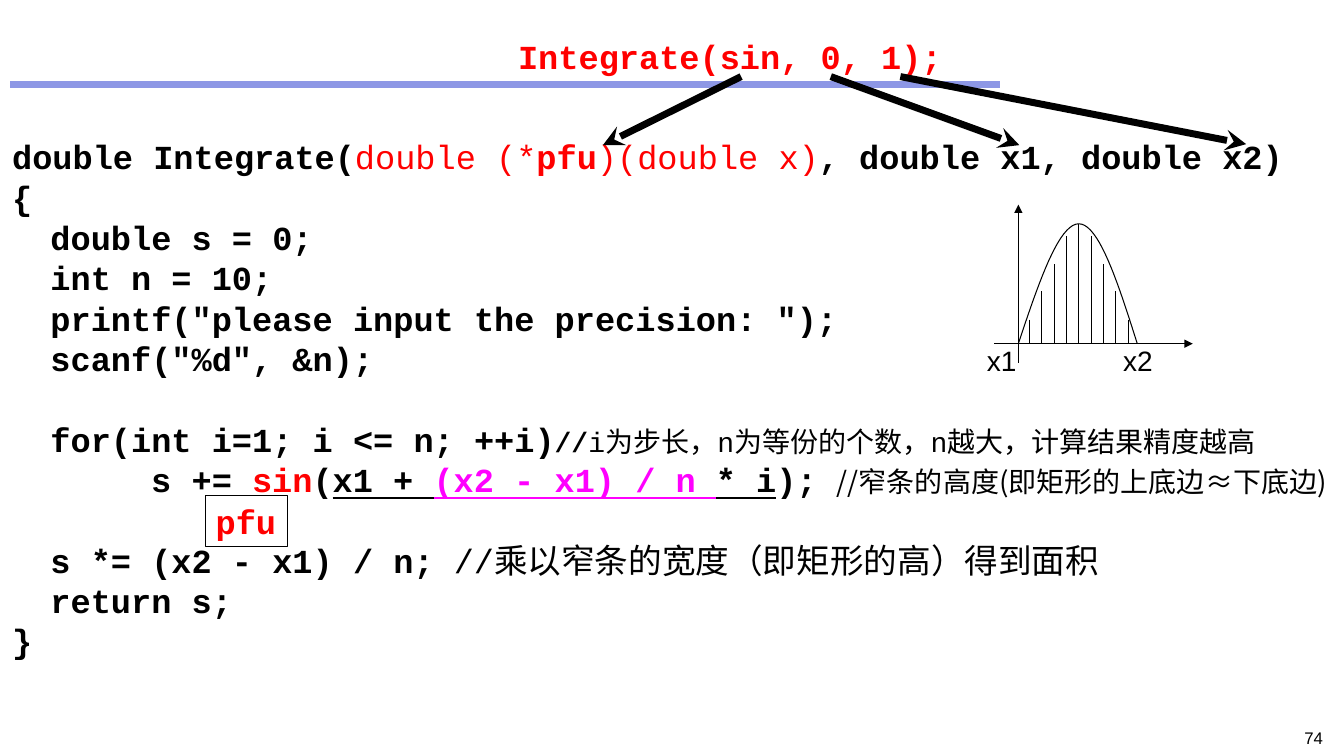
import pptx
import pptx.util
import pptx.dml.color
import pptx.enum.shapes
import pptx.enum.text
import pptx.oxml.ns
from pptx.util import Inches

COLORS = {"black": "000000", "red": "FF0000", "magenta": "FF00FF", "rule": "8D97E5"}
CODE_FONT, CJK_FONT, LABEL_FONT = "Courier New", "Noto Sans CJK SC", "Arial"

# Content: each code line is a list of (text, style differences) runs
PLAIN_RED = {"color": "red", "bold": False}
UNDERLINED = {"underline": True}
CODE_LINES = [
    [],
    [("double Integrate(", {}), ("double (*", PLAIN_RED), ("pfu", {"color": "red"}),
     (")(double x)", PLAIN_RED), (", double x1, double x2)", {})],
    [("{", {})],
    [("\tdouble s = 0;", {})],
    [("\tint n = 10;\t\t", {})],
    [("\tprintf(\"please input the precision: \");", {})],
    [("\tscanf(\"%d\", &n);", {})],
    [],
    [("\tfor(int i=1; i <= n; ++i)", {}), ("//", {"size": 20}),
     ("i为步长，n为等份的个数，n越大，计算结果精度越高", {"size": 20, "bold": False})],
    [("\t\ts += ", {}), ("sin", {"color": "red"}), ("(", {}), ("x1 + ", UNDERLINED),
     ("(x2 - x1) / n ", {"color": "magenta", "underline": True}), ("* i", UNDERLINED),
     ("); ", {}),
     ("//窄条的高度(即矩形的上底边≈下底边)", {"size": 20, "bold": False, "font": CJK_FONT})],
    [("\t\t", {})],
    [("\ts *= (x2 - x1) / n; ", {}), ("//乘以窄条的宽度（即矩形的高）得到面积", {"bold": False})],
    [("\treturn s;", {})],
    [("}", {})],
]
# Call arguments pointing at the parameters they fill
ARGUMENT_ARROWS = [((7.35, 0.76), (5.98, 1.44)), ((8.24, 0.76), (10.11, 1.44)),
                   ((8.93, 0.76), (12.36, 1.43))]
# Graph: strips rise to the middle and fall again
AXIS_Y, FIRST_STRIP_X, STRIP_STEP = 3.41, 10.21, 0.1225
RISING_TOPS = [3.17, 2.89, 2.62, 2.34]
STRIP_TOPS = RISING_TOPS + [2.22] + RISING_TOPS[::-1]
CURVE = [[(10.1, 3.41), (10.3, 2.81), (10.5, 2.22), (10.7, 2.22)],
         [(10.7, 2.22), (10.9, 2.22), (11.09, 2.81), (11.28, 3.41)]]
CURVE_STEPS = 20

presentation = pptx.Presentation()
presentation.slide_width, presentation.slide_height = Inches(13.33), Inches(7.5)
slide = presentation.slides.add_slide(presentation.slide_layouts[6])


def rgb(name):
    return pptx.dml.color.RGBColor.from_string(COLORS[name])


def add_line(start, end, color="black", width=0.75, arrowhead=None):
    line = slide.shapes.add_connector(pptx.enum.shapes.MSO_CONNECTOR.STRAIGHT,
                                      *map(Inches, start + end))
    line.line.color.rgb = rgb(color)
    line.line.width = pptx.util.Pt(width)
    properties = line._element.spPr
    if arrowhead:
        outline = properties.find(pptx.oxml.ns.qn("a:ln"))
        outline.append(outline.makeelement(pptx.oxml.ns.qn("a:tailEnd"), {"type": arrowhead}))
    properties.append(properties.makeelement(pptx.oxml.ns.qn("a:effectLst"), {}))


def style_font(font, size=24, color="black", bold=True, underline=None, name=CODE_FONT):
    font.size, font.bold, font.underline, font.name = pptx.util.Pt(size), bold, underline, name
    font.color.rgb = rgb(color)


def add_label(text, left, top, width, height, wrap=True, align=None, **style):
    box = slide.shapes.add_textbox(*map(Inches, (left, top, width, height)))
    box.text_frame.word_wrap = wrap
    paragraph = box.text_frame.paragraphs[0]
    paragraph.text, paragraph.alignment = text, align
    style_font(paragraph.font, **style)
    return box


# Rule under the call
add_line((0.1, 0.84), (9.92, 0.84), "rule", 4.5)

# Code listing
listing = slide.shapes.add_textbox(*map(Inches, (0.1, 0.94, 13.12, 6.51)))
frame = listing.text_frame
frame.word_wrap = True
frame.margin_left = frame.margin_right = Inches(0.02)
frame.margin_top = frame.margin_bottom = Inches(0.01)
for index, runs in enumerate(CODE_LINES):
    paragraph = frame.add_paragraph() if index else frame.paragraphs[0]
    paragraph.line_spacing = pptx.util.Pt(24 if index else 29)
    paragraph.space_before = pptx.util.Pt(4.8 if index else 0)
    style_font(paragraph.font)
    indents = paragraph._p.get_or_add_pPr()
    indents.set("marL", str(Inches(0.38)))
    indents.set("indent", str(-Inches(0.38)))
    indents.set("defTabSz", str(Inches(1)))
    for text, style in runs:
        run = paragraph.add_run()
        run.text = text
        style_font(run.font, style.get("size", 24), style.get("color", "black"),
                   style.get("bold", True), style.get("underline"),
                   style.get("font", CODE_FONT))
        latin = run.font._element.find(pptx.oxml.ns.qn("a:latin"))
        latin.addnext(latin.makeelement(pptx.oxml.ns.qn("a:ea"), {"typeface": CJK_FONT}))

# Slide number, call and arrows
add_label("74", 11.91, 7.17, 1.31, 0.25, align=pptx.enum.text.PP_ALIGN.RIGHT,
          size=12, bold=False, name=LABEL_FONT)
add_label("Integrate(sin, 0, 1);", 5.04, 0.31, 4.44, 0.5, wrap=False, color="red")
for start, end in ARGUMENT_ARROWS:
    add_line(start, end, width=5, arrowhead="stealth")

# Graph strips and axes
for index, top in enumerate(STRIP_TOPS):
    x = FIRST_STRIP_X + index * STRIP_STEP
    add_line((x, top), (x, AXIS_Y))
add_line((9.86, AXIS_Y), (11.83, AXIS_Y), arrowhead="triangle")
add_line((10.1, 3.6), (10.1, 2.03), arrowhead="triangle")


# Graph curve, sampled from its two Bezier halves
def bezier_point(controls, t):
    weights = ((1 - t) ** 3, 3 * t * (1 - t) ** 2, 3 * t ** 2 * (1 - t), t ** 3)
    return tuple(sum(w * c[axis] for w, c in zip(weights, controls)) for axis in (0, 1))


points = [bezier_point(half, step / CURVE_STEPS)
          for half in CURVE for step in range(1, CURVE_STEPS + 1)]
builder = slide.shapes.build_freeform(*map(Inches, CURVE[0][0]))
builder.add_line_segments([(Inches(x), Inches(y)) for x, y in points], close=False)
curve = builder.convert_to_shape()
curve.shadow.inherit = False
curve.fill.background()
curve.line.color.rgb = rgb("black")
curve.line.width = pptx.util.Pt(0.75)

# Graph limits
for text, left in (("x1", 9.69), ("x2", 11.04)):
    add_label(text, left, 3.36, 0.66, 0.44, size=20, bold=False, name=LABEL_FONT)

# Replacement for sin
replacement = add_label("pfu", 2.04, 4.92, 0.81, 0.5, wrap=False, color="red")
replacement.line.color.rgb = rgb("black")
replacement.line.width = pptx.util.Pt(0.75)

presentation.save("out.pptx")
